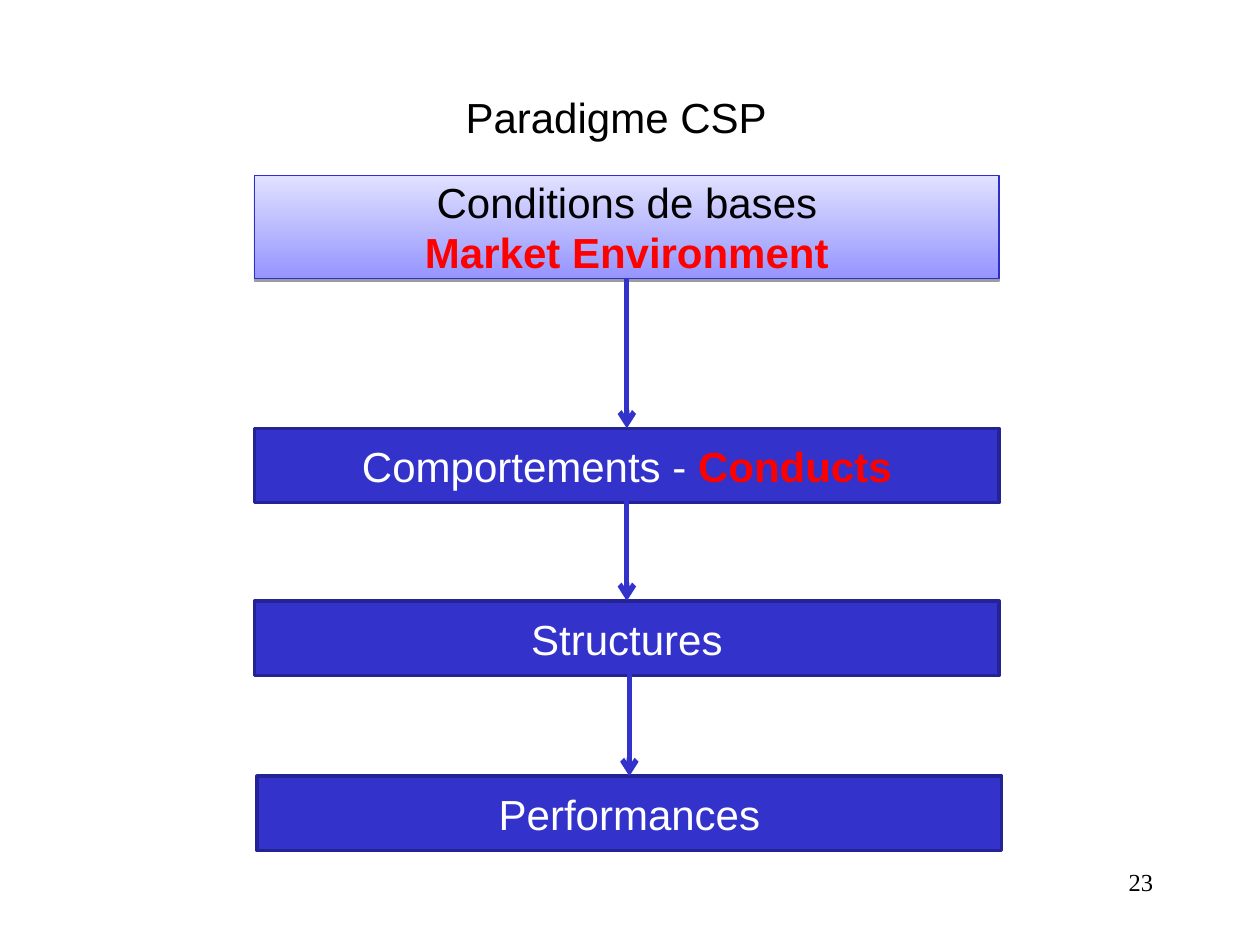
from dataclasses import dataclass

from lxml.etree import SubElement
from pptx import Presentation
from pptx.dml.color import RGBColor as Rgb
from pptx.enum.shapes import MSO_CONNECTOR as Connector, MSO_SHAPE as Shape
from pptx.enum.text import MSO_ANCHOR as Anchor, MSO_AUTO_SIZE as AutoSize, PP_ALIGN as Align
from pptx.oxml.ns import qn
from pptx.util import Inches, Pt


@dataclass(frozen=True)
class Theme:
    black: str = "000000"
    white: str = "FFFFFF"
    accent: str = "FF0000"
    blue: str = "3333CC"
    border: str = "232395"
    pale_border: str = "2E2ECB"
    gradient: tuple = ("9595FF", "E1E1FF")
    body_font: str = "Arial"
    number_font: str = "Times New Roman"
    body_size: int = 24
    number_size: int = 14


class Diagram:
    COLUMNS, ROWS = 100, 75

    def __init__(self, deck, theme):
        self.theme = theme
        self.slide = deck.slides.add_slide(deck.slide_layouts[6])
        self.column = deck.slide_width / self.COLUMNS
        self.row = deck.slide_height / self.ROWS

    def area(self, left, top, width, height):
        return (round(left * self.column), round(top * self.row),
                round(width * self.column), round(height * self.row))

    def add_lines(self, frame, lines, align, font=None, size=None):
        frame.word_wrap = True
        for index, line in enumerate(lines):
            paragraph = frame.add_paragraph() if index else frame.paragraphs[0]
            paragraph.alignment = align
            for words, color, bold in line:
                run = paragraph.add_run()
                run.text = words
                run.font.name = font or self.theme.body_font
                run.font.size = Pt(size or self.theme.body_size)
                run.font.bold = bold
                run.font.color.rgb = Rgb.from_string(color)

    def label(self, area, words, align, font=None, size=None):
        label = self.slide.shapes.add_textbox(*self.area(*area))
        self.add_lines(label.text_frame, [[(words, self.theme.black, False)]], align, font, size)
        return label

    def box(self, area, lines):
        box = self.slide.shapes.add_shape(Shape.RECTANGLE, *self.area(*area))
        box.shadow.inherit = False
        box.fill.solid()
        box.fill.fore_color.rgb = Rgb.from_string(self.theme.blue)
        box.line.color.rgb = Rgb.from_string(self.theme.border)
        box.line.width = Pt(2)
        box.text_frame.vertical_anchor = Anchor.MIDDLE
        self.add_lines(box.text_frame, lines, Align.CENTER)
        return box

    def gradient_box(self, area, lines):
        box = self.box(area, lines)
        box.fill.gradient()
        box.fill.gradient_angle = 90
        for stop, color in zip(box.fill.gradient_stops, self.theme.gradient):
            stop.color.rgb = Rgb.from_string(color)
        box.line.color.rgb = Rgb.from_string(self.theme.pale_border)
        box.line.width = Pt(0.75)
        effects = box._element.spPr.find(qn("a:effectLst"))
        shadow = SubElement(effects, qn("a:outerShdw"), blurRad="0", dist=str(Pt(1.6)),
                            dir="5400000", rotWithShape="0")
        tone = SubElement(shadow, qn("a:srgbClr"), val=self.theme.black)
        SubElement(tone, qn("a:alpha"), val="38000")
        return box

    def arrow(self, source, target, overlap=0):
        center = target.left + target.width // 2
        start = source.top + source.height - round(overlap * self.row)
        arrow = self.slide.shapes.add_connector(Connector.STRAIGHT, center, start,
                                                center, target.top)
        if not overlap:
            arrow.begin_connect(source, 2)
        arrow.end_connect(target, 0)
        arrow.line.color.rgb = Rgb.from_string(self.theme.blue)
        arrow.line.width = Pt(3)
        properties = arrow._element.spPr
        SubElement(properties.find(qn("a:ln")), qn("a:tailEnd"), type="arrow")
        SubElement(properties, qn("a:effectLst"))


def main():
    deck = Presentation()
    deck.slide_width, deck.slide_height = Inches(10), Inches(7.5)
    theme = Theme()
    diagram = Diagram(deck, theme)

    diagram.label((71.7, 68.3, 20.8, 5), "23", Align.RIGHT,
                  theme.number_font, theme.number_size)
    title = diagram.label((20.2, 6.8, 57.4, 5), "Paradigme CSP", Align.CENTER)
    title.text_frame.auto_size = AutoSize.SHAPE_TO_FIT_TEXT

    conditions = diagram.gradient_box((20.2, 13.9, 59.1, 8.2), [
        [("Conditions de bases", theme.black, False)],
        [("Market Environment", theme.accent, True)],
    ])
    stages = [
        (20.2, 34, [("Comportements - ", theme.white, False),
                    ("Conducts", theme.accent, True)]),
        (20.2, 47.7, [("Structures", theme.white, False)]),
        (20.4, 61.6, [("Performances", theme.white, False)]),
    ]
    conducts, structures, performances = [
        diagram.box((left, top, 59.1, 5.9), [line]) for left, top, line in stages
    ]

    diagram.arrow(conditions, conducts)
    diagram.arrow(conducts, structures, overlap=1.2)
    diagram.arrow(structures, performances, overlap=1)

    deck.save("out.pptx")


if __name__ == "__main__":
    main()
